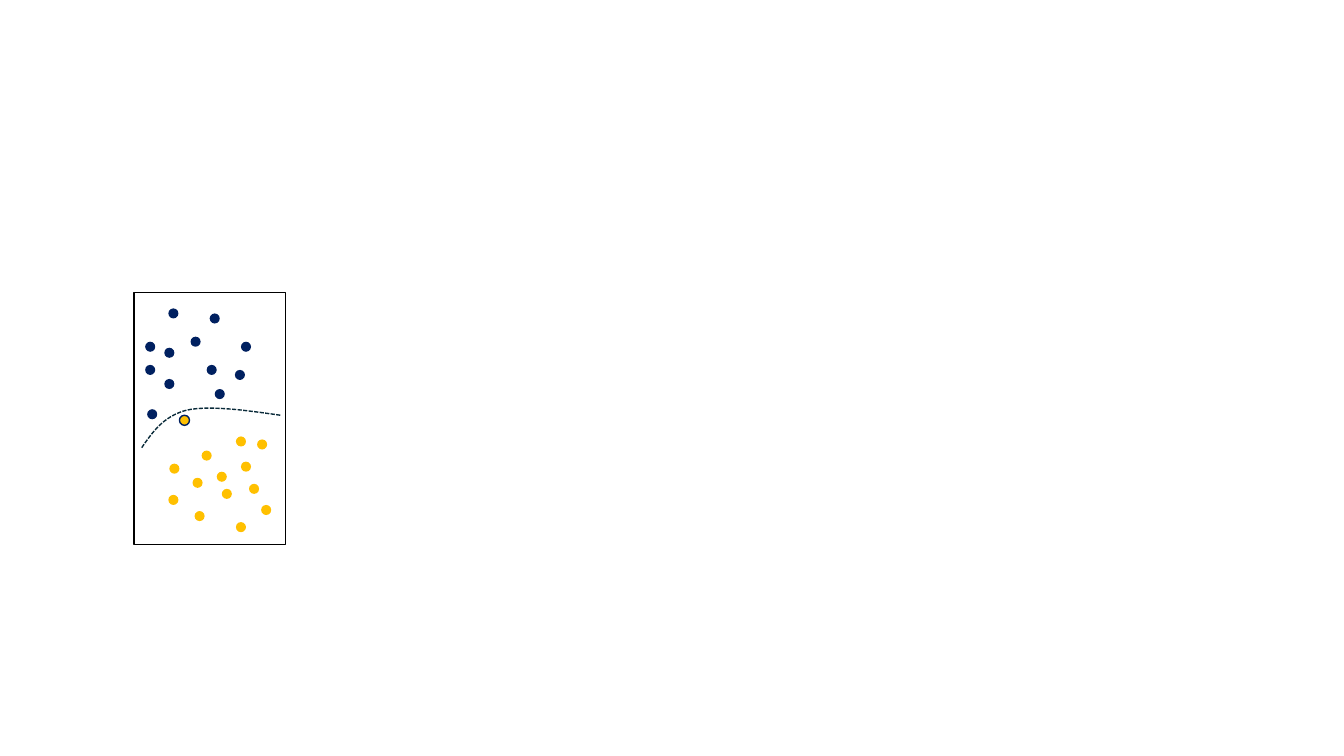
import dataclasses

import pptx
import pptx.dml.color
import pptx.enum.dml
import pptx.enum.shapes
import pptx.util

EMU_PER_PX = 9144
DOT_SIZE = 10
CURVE_STEPS = 16
NAVY = pptx.dml.color.RGBColor(0x00, 0x20, 0x60)
AMBER = pptx.dml.color.RGBColor(0xFF, 0xC0, 0x00)
BLACK = pptx.dml.color.RGBColor(0x00, 0x00, 0x00)
DARK_TEAL = pptx.dml.color.RGBColor(0x09, 0x2A, 0x39)

Point = tuple[float, float]


@dataclasses.dataclass(frozen=True)
class DotClass:
    fill: pptx.dml.color.RGBColor
    positions: tuple[tuple[int, int], ...]
    outline: pptx.dml.color.RGBColor | None = None


DOT_CLASSES = (
    DotClass(NAVY, (
        (189, 334), (233, 367), (239, 339), (205, 362), (208, 311), (167, 306), (163, 345),
        (144, 339), (163, 376), (213, 386), (144, 362), (146, 406),
    )),
    DotClass(AMBER, (
        (239, 458), (255, 436), (193, 507), (247, 480), (191, 474), (220, 485), (200, 447),
        (234, 518), (259, 501), (167, 491), (168, 460), (215, 468), (234, 433),
    )),
    DotClass(AMBER, ((178, 412),), NAVY),
)
BOUNDARY_CURVES = (
    ((278, 412), (243, 407), (208, 402), (185, 407)),
    ((185, 407), (162, 413), (151, 429), (140, 445)),
)


def px(length: float) -> pptx.util.Emu:
    return pptx.util.Emu(round(length * EMU_PER_PX))


def style(shape, fill=None, outline=None) -> None:
    shape.shadow.inherit = False
    if fill is None:
        shape.fill.background()
    else:
        shape.fill.solid()
        shape.fill.fore_color.rgb = fill
    if outline is None:
        shape.line.fill.background()
    else:
        shape.line.color.rgb = outline
        shape.line.width = pptx.util.Pt(1)


def draw_dots(shapes, dots: DotClass) -> None:
    for left, top in dots.positions:
        dot = shapes.add_shape(
            pptx.enum.shapes.MSO_SHAPE.OVAL, px(left), px(top), px(DOT_SIZE), px(DOT_SIZE)
        )
        style(dot, dots.fill, dots.outline)


def draw_frame(shapes) -> None:
    frame = shapes.add_shape(
        pptx.enum.shapes.MSO_SHAPE.RECTANGLE, px(133), px(290), px(150), px(250)
    )
    style(frame, outline=BLACK)


def curve_point(controls: tuple[Point, ...], t: float) -> Point:
    weights = ((1 - t) ** 3, 3 * t * (1 - t) ** 2, 3 * t**2 * (1 - t), t**3)
    x = sum(weight * control[0] for weight, control in zip(weights, controls))
    y = sum(weight * control[1] for weight, control in zip(weights, controls))
    return px(x), px(y)


def draw_boundary(shapes) -> None:
    start_x, start_y = curve_point(BOUNDARY_CURVES[0], 0)
    builder = shapes.build_freeform(start_x, start_y, scale=1.0)
    builder.add_line_segments(
        [
            curve_point(controls, step / CURVE_STEPS)
            for controls in BOUNDARY_CURVES
            for step in range(1, CURVE_STEPS + 1)
        ],
        close=False,
    )
    boundary = builder.convert_to_shape()
    style(boundary, outline=DARK_TEAL)
    boundary.line.dash_style = pptx.enum.dml.MSO_LINE.SQUARE_DOT


def main() -> None:
    presentation = pptx.Presentation()
    presentation.slide_width = px(1333)
    presentation.slide_height = px(750)
    slide = presentation.slides.add_slide(presentation.slide_layouts[6])
    scatter = slide.shapes.add_group_shape().shapes
    for dots in DOT_CLASSES:
        draw_dots(scatter, dots)
    draw_frame(scatter)
    draw_boundary(scatter)
    presentation.save("out.pptx")


if __name__ == "__main__":
    main()
